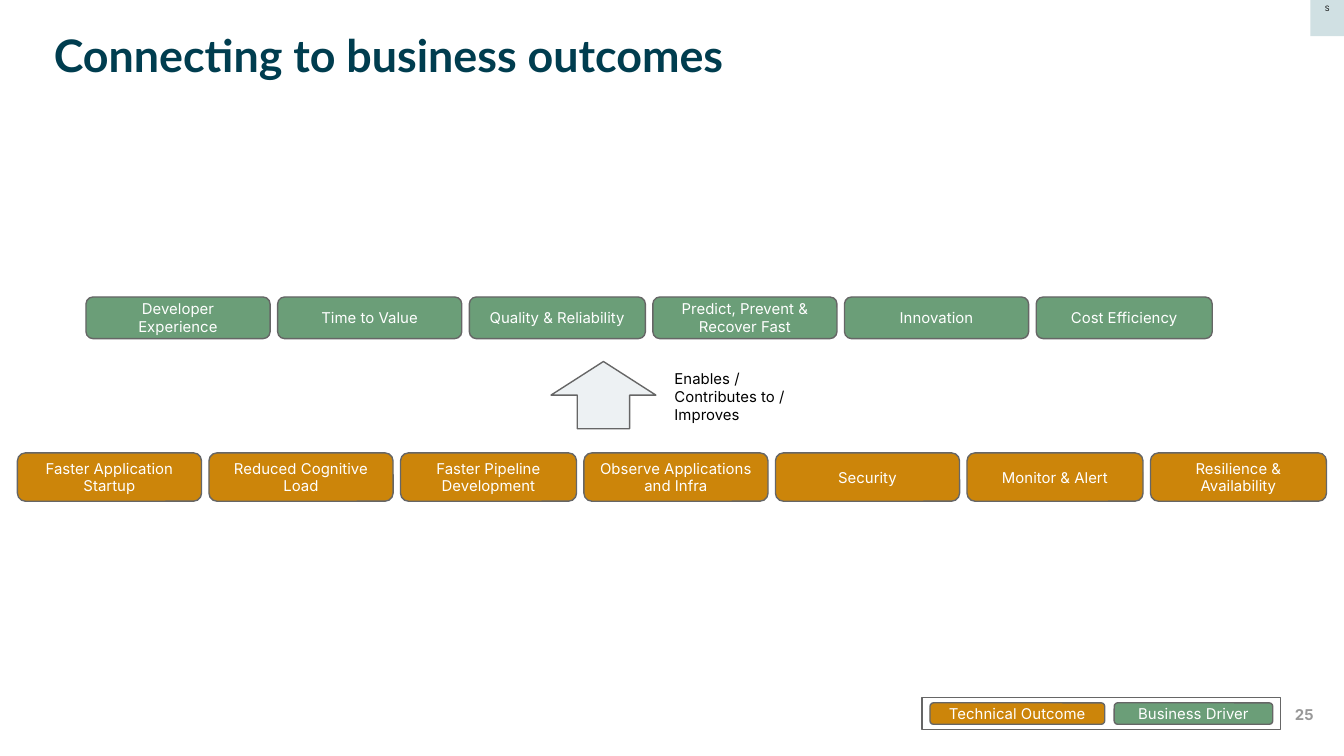
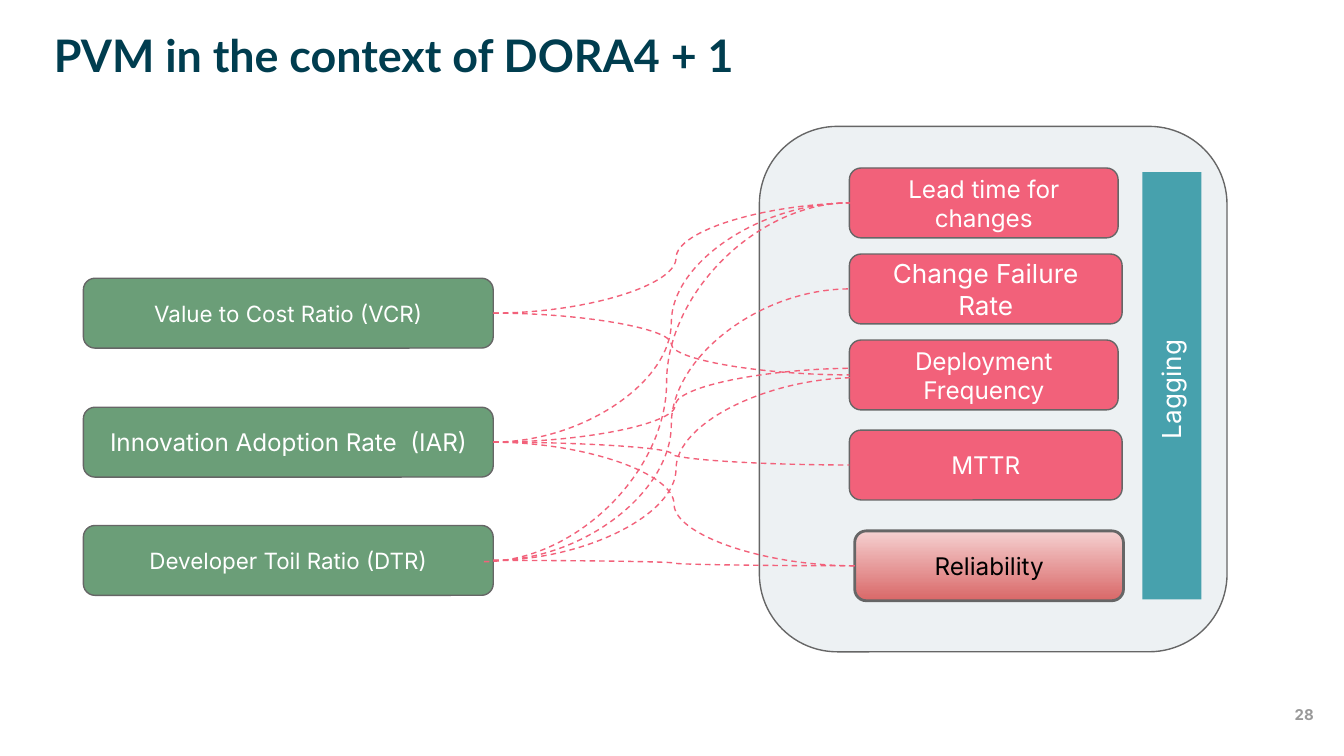
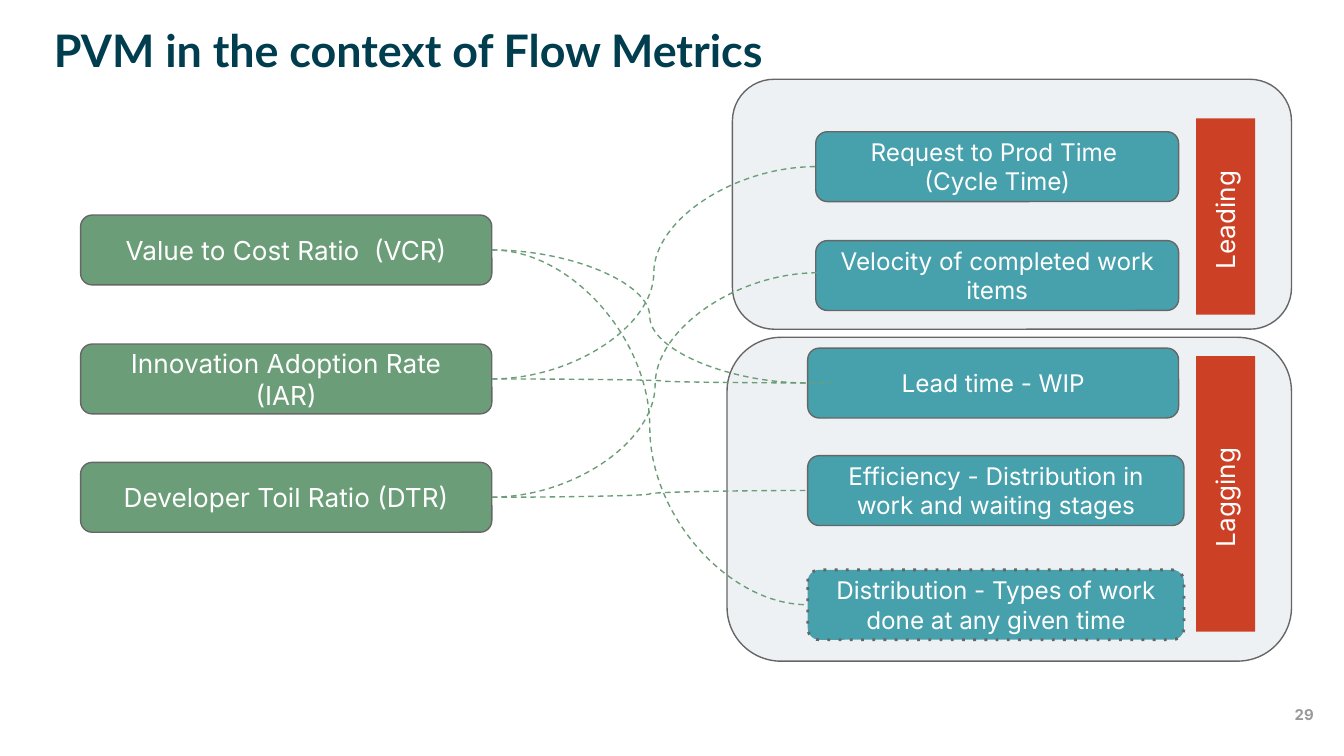
from lxml.etree import SubElement
from pptx import Presentation
from pptx.dml.color import RGBColor
from pptx.enum.dml import MSO_LINE
from pptx.enum.shapes import MSO_CONNECTOR, MSO_SHAPE
from pptx.enum.text import MSO_ANCHOR, MSO_AUTO_SIZE, PP_ALIGN
from pptx.oxml.ns import qn
from pptx.util import Inches, Pt

WIDTH = 10
HEIGHT = WIDTH * 9 / 16
NAVY, GREEN, ORANGE, PINK = "003D4F", "6B9E78", "CC850A", "F2617A"
TEAL, RED, PALE, MIST = "47A1AD", "CC4125", "EDF1F3", "D0E0E3"
GREY, NUMBER_GREY, WHITE, BLACK = "666666", "999999", "FFFFFF", "000000"
BLUSH = ("F5D0D0", "D96868")
BODY, HEAD = "Inter", "Lato"
ROUND, RECT = MSO_SHAPE.ROUNDED_RECTANGLE, MSO_SHAPE.RECTANGLE
BOX_H, TAB_W = 0.52, 0.44
WIDE, NARROW = 1.37, 1.31

# Outcome rows: left edge, right edge, top, height, colour, (label, width)
OUTCOME_ROWS = [
    (0.13, 9.87, 3.37, 0.36, ORANGE, [
        ("Faster Application Startup", WIDE), ("Reduced Cognitive Load", WIDE),
        ("Faster Pipeline Development", NARROW),
        ("Observe Applications and Infra", WIDE), ("Security", WIDE),
        ("Monitor & Alert", NARROW), ("Resilience & Availability", NARROW)]),
    (0.64, 9.02, 2.21, 0.31, GREEN, [
        ("Developer Experience", WIDE), ("Time to Value", WIDE),
        ("Quality & Reliability", NARROW),
        ("Predict, Prevent & Recover Fast", WIDE), ("Innovation", WIDE),
        ("Cost Efficiency", NARROW)]),
    (6.92, 9.47, 5.23, 0.16, ORANGE, [("Technical Outcome", 1.3)]),
    (8.29, 9.47, 5.23, 0.16, GREEN, [("Business Driver", 1.18)]),
]

# Ratios: label, top, size. Measures: label, left, top, width, size, style.
# Tabs: label, top, length.
# Links: ratio, measure, then optional end dx, end dy, start dx, start dy.
MAPS = [
    dict(title="PVM in the context of DORA4 + 1", number=28, title_top=0.21,
         panels=[(5.65, 0.94, 3.48, 3.91)],
         ratio_left=0.62, ratio_width=3.05,
         ratios=[("Value to Cost Ratio (VCR)", 2.07, 12),
                 ("Innovation Adoption Rate  (IAR)", 3.03, 13),
                 ("Developer Toil Ratio (DTR)", 3.91, 12)],
         measure_colour=PINK,
         measures=[("Lead time for changes", 6.32, 1.25, 2, 13, ""),
                   ("Change Failure Rate", 6.32, 1.89, 2.03, 14, ""),
                   ("Deployment Frequency", 6.32, 2.53, 2, 13, ""),
                   ("MTTR", 6.32, 3.2, 2.03, 13, ""),
                   ("Reliability", 6.36, 3.95, 2, 13, "gradient")],
         tab_left=8.5, tab_colour=TEAL, tabs=[("Lagging ", 1.28, 3.18)],
         link_colour=PINK,
         links=[(0, 0, 0.07), (0, 2), (2, 4), (2, 0, 0, 0, -0.07, 0.01),
                (2, 2, 0.07, 0.02), (2, 1), (1, 0), (1, 2, 0.06, -0.05),
                (1, 3), (1, 4)]),
    dict(title="PVM in the context of Flow Metrics", number=29, title_top=0.17,
         panels=[(5.45, 0.59, 4.16, 1.86), (5.41, 2.51, 4.2, 2.41)],
         ratio_left=0.6, ratio_width=3.06,
         ratios=[("Value to Cost Ratio  (VCR)", 1.6, 14),
                 ("Innovation Adoption Rate (IAR)", 2.56, 14),
                 ("Developer Toil Ratio (DTR)", 3.44, 14)],
         measure_colour=TEAL,
         measures=[
             ("Request to Prod Time \n(Cycle Time)", 6.07, 0.98, 2.7, 13, ""),
             ("Velocity of completed work items", 6.07, 1.79, 2.7, 13, ""),
             ("Lead time - WIP", 6.01, 2.59, 2.76, 13, ""),
             ("Efficiency - Distribution in work and waiting stages",
              6.01, 3.39, 2.8, 13, ""),
             ("Distribution - Types of work done at any given time",
              6.01, 4.24, 2.8, 13, "dotted")],
         tab_left=8.9, tab_colour=RED,
         tabs=[("Leading ", 0.88, 1.46), ("Lagging ", 2.65, 2.05)],
         link_colour=GREEN,
         links=[(0, 2), (0, 4), (1, 0), (1, 2, 0.18), (2, 1, 0.02, -0.02),
                (2, 3)]),
]


def rgb(value):
    return RGBColor.from_string(value)


def write(sp, text, size, colour, font=BODY, bold=False, align=PP_ALIGN.CENTER,
          anchor=MSO_ANCHOR.MIDDLE, inset=0.1, grow=False):
    tf = sp.text_frame
    tf.word_wrap, tf.vertical_anchor = True, anchor
    tf.margin_left = tf.margin_right = Inches(inset)
    tf.margin_top = tf.margin_bottom = Inches(inset)
    if grow:
        tf.auto_size = MSO_AUTO_SIZE.SHAPE_TO_FIT_TEXT
    tf.text = text
    for p in tf.paragraphs:
        p.alignment = align
        for r in p.runs:
            r.font.name, r.font.size, r.font.bold = font, Pt(size), bold
            r.font.color.rgb = rgb(colour)


def add_text(s, at, *args, **style):
    write(s.shapes.add_textbox(*map(Inches, at)), *args, **style)


def add_box(s, kind, at, fill, line=GREY):
    sp = s.shapes.add_shape(kind, *map(Inches, at))
    sp.shadow.inherit = False
    sp.fill.solid()
    sp.fill.fore_color.rgb = rgb(fill)
    if line:
        sp.line.color.rgb = rgb(line)
        sp.line.width = Pt(0.75)
    else:
        sp.line.fill.background()
    return sp


def add_label(s, at, fill, text, size):
    sp = add_box(s, ROUND, at, fill)
    write(sp, text, size, WHITE)
    return sp


def add_tab(s, left, top, length, fill, text):
    """Upright bar whose text reads from bottom to top."""
    shift = (length - TAB_W) / 2
    sp = add_box(s, RECT, (left - shift, top + shift, length, TAB_W), fill, None)
    sp.rotation = 270
    write(sp, text, 14, WHITE, anchor=MSO_ANCHOR.TOP, grow=True)


def add_link(s, start, end, colour):
    c = s.shapes.add_connector(MSO_CONNECTOR.CURVE, *map(Inches, start + end))
    c.line.color.rgb = rgb(colour)
    c.line.width = Pt(0.75)
    c.line.dash_style = MSO_LINE.DASH
    SubElement(c._element.spPr, qn("a:effectLst"))


def restyle(sp, style):
    if not style:
        return
    sp.line.width = Pt(1.5)
    if style == "dotted":
        sp.line.dash_style = MSO_LINE.DASH
        next(sp._element.spPr.iter(qn("a:prstDash"))).set("val", "dot")
    else:
        sp.fill.gradient()
        sp.fill.gradient_angle = 270
        for stop, colour in zip(sp.fill.gradient_stops, BLUSH):
            stop.color.rgb = rgb(colour)
        for r in sp.text_frame.paragraphs[0].runs:
            r.font.color.rgb = rgb(BLACK)


def new_slide(prs, title, number, title_top=0.21, panels=()):
    s = prs.slides.add_slide(prs.slide_layouts[6])
    add_text(s, (9.6, 5.22, 0.21, 0.2), str(number), 8, NUMBER_GREY,
             bold=True, inset=0)
    for at in panels:
        add_box(s, ROUND, at, PALE)
    add_text(s, (0.4, title_top, 9.19, 0.67), title, 24, NAVY, font=HEAD,
             bold=True, align=PP_ALIGN.LEFT, anchor=MSO_ANCHOR.TOP, inset=0)
    return s


def outcomes_slide(prs):
    s = new_slide(prs, "Connecting to business outcomes", 25)
    add_box(s, RECT, (6.86, 5.19, 2.67, 0.24), WHITE)
    for left, right, top, height, colour, items in OUTCOME_ROWS:
        spare = right - left - sum(width for _, width in items)
        gap = spare / max(len(items) - 1, 1)
        for text, width in items:
            add_label(s, (left, top, width, height), colour, text, 8)
            left += width + gap
    corner = add_box(s, RECT, (WIDTH - 0.25, 0, 0.25, 0.27), MIST, None)
    write(corner, "S", 4, BLACK, anchor=MSO_ANCHOR.TOP, grow=True)
    add_box(s, MSO_SHAPE.UP_ARROW, (4.1, 2.69, 0.78, 0.5), PALE)
    add_text(s, (4.92, 2.65, 1.18, 0.58), "Enables / Contributes to /\nImproves",
             8, BLACK, align=PP_ALIGN.LEFT, anchor=MSO_ANCHOR.TOP)


def map_slide(prs, m):
    s = new_slide(prs, m["title"], m["number"], m["title_top"], m["panels"])
    left, width = m["ratio_left"], m["ratio_width"]
    for text, top, size in m["ratios"]:
        add_label(s, (left, top, width, BOX_H), GREEN, text, size)
    for text, x, top, w, size, style in m["measures"]:
        sp = add_label(s, (x, top, w, BOX_H), m["measure_colour"], text, size)
        restyle(sp, style)
    for text, top, length in m["tabs"]:
        add_tab(s, m["tab_left"], top, length, m["tab_colour"], text)
    for ratio, measure, *nudges in m["links"]:
        end_dx, end_dy, dx, dy = (nudges + [0] * 4)[:4]
        _, ratio_top, _ = m["ratios"][ratio]
        _, x, top, *_ = m["measures"][measure]
        add_link(s, (left + width + dx, ratio_top + BOX_H / 2 + dy),
                 (x + end_dx, top + BOX_H / 2 + end_dy), m["link_colour"])


def main():
    prs = Presentation()
    prs.slide_width, prs.slide_height = Inches(WIDTH), Inches(HEIGHT)
    outcomes_slide(prs)
    for m in MAPS:
        map_slide(prs, m)
    prs.save("out.pptx")


if __name__ == "__main__":
    main()
